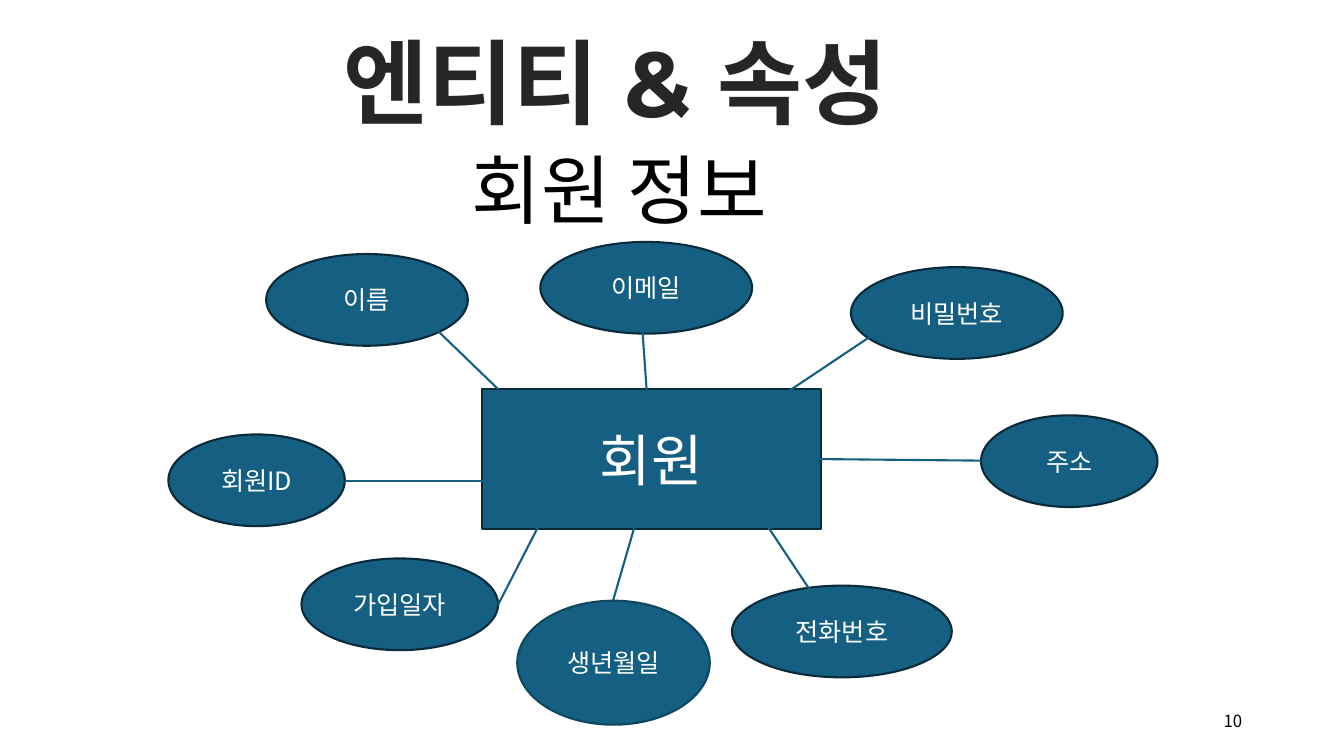
from lxml import etree
from pptx import Presentation
from pptx.dml.color import RGBColor
from pptx.enum.shapes import MSO_CONNECTOR as Connector, MSO_SHAPE as Shape
from pptx.enum.text import MSO_ANCHOR as Anchor, MSO_AUTO_SIZE as AutoSize, PP_ALIGN as Align
from pptx.oxml.ns import qn
from pptx.util import Inches, Pt

COLORS = {
    "entity": "156082",
    "outline": "092A39",
    "birthday outline": "104760",
    "title": "262626",
    "text": "000000",
    "label": "FFFFFF",
}
BODY_FONT = "Noto Sans CJK KR"
CELL = Inches(0.1)


def grid(*cells):
    return [round(cell * CELL) for cell in cells]


def write(shape, text, size, color, align=Align.CENTER, anchor=Anchor.MIDDLE, font=BODY_FONT):
    frame = shape.text_frame
    frame.text = text
    frame.word_wrap = True
    frame.auto_size = AutoSize.NONE
    frame.vertical_anchor = anchor
    paragraph = frame.paragraphs[0]
    paragraph.alignment = align
    paragraph.font.name = font
    paragraph.font.size = Pt(size)
    paragraph.font.color.rgb = RGBColor.from_string(COLORS[color])
    properties = paragraph.runs[0].font._element
    etree.SubElement(properties, qn("a:ea")).set("typeface", font)


presentation = Presentation()
presentation.slide_width = Inches(13.33)
presentation.slide_height = Inches(7.5)
slide = presentation.slides.add_slide(presentation.slide_layouts[5])
shapes = slide.shapes

title = shapes.title
title.left, title.top, title.width, title.height = grid(29, 2, 64.1, 13.4)
write(title, "엔티티 & 속성", 66, "title", anchor=Anchor.TOP, font="Montserrat")
title.text_frame.word_wrap = False
title.text_frame.paragraphs[0].font.bold = True

subtitle = shapes.add_textbox(*grid(45.8, 13.7, 35.6, 10.1))
write(subtitle, "회원 정보", 54, "text", Align.LEFT, Anchor.TOP)

page_number = shapes.add_textbox(*grid(94.2, 69.5, 30, 4))
write(page_number, "10", 12, "text", Align.RIGHT)

nodes = [
    ("회원", Shape.RECTANGLE, 40, "outline", (47.8, 38.6, 33.6, 13.9)),
    ("회원ID", Shape.OVAL, 18, "outline", (16.7, 43.1, 17.5, 9.1)),
    ("가입일자", Shape.OVAL, 18, "outline", (29.9, 55.4, 19.5, 9.1)),
    ("이름", Shape.OVAL, 18, "outline", (26.4, 25.2, 20, 9.1)),
    ("이메일", Shape.OVAL, 18, "outline", (53.6, 24, 21, 9.1)),
    ("비밀번호", Shape.OVAL, 18, "outline", (84.4, 26.5, 21, 9.1)),
    ("주소", Shape.OVAL, 18, "outline", (97.3, 41.2, 17.5, 9.1)),
    ("전화번호", Shape.OVAL, 18, "outline", (72.6, 58.1, 21.8, 9.1)),
    ("생년월일", Shape.OVAL, 18, "birthday outline", (51.3, 59.6, 19.1, 12.3)),
]
for label, kind, size, outline, box in nodes:
    node = shapes.add_shape(kind, *grid(*box))
    node.shadow.inherit = False
    node.fill.solid()
    node.fill.fore_color.rgb = RGBColor.from_string(COLORS["entity"])
    node.line.color.rgb = RGBColor.from_string(COLORS[outline])
    node.line.width = Pt(1.5)
    write(node, label, size, "label")

links = [
    (43.5, 32.9, 49.4, 38.6),
    (34.2, 47.7, 53.6, 47.7),
    (49.4, 60, 54.9, 49.3),
    (81.3, 60, 70.7, 44),
    (97.3, 45.7, 76.8, 45.5),
    (87.5, 32.6, 71.8, 43.1),
    (63.5, 29.7, 64.3, 41),
    (63.5, 50.3, 60.8, 59.6),
]
for ends in links:
    link = shapes.add_connector(Connector.STRAIGHT, *grid(*ends))
    link.line.color.rgb = RGBColor.from_string(COLORS["entity"])
    link.line.width = Pt(1.5)
    etree.SubElement(link._element.spPr, qn("a:effectLst"))

presentation.save("out.pptx")
